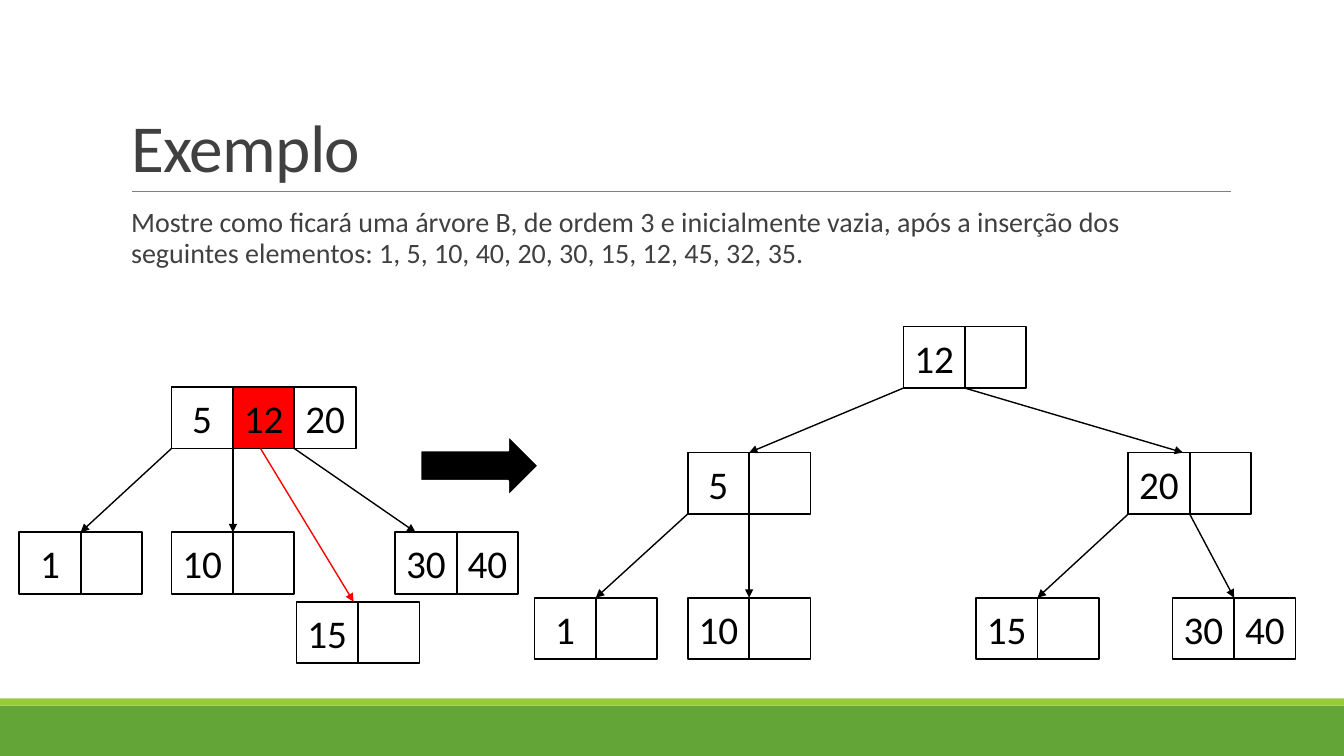
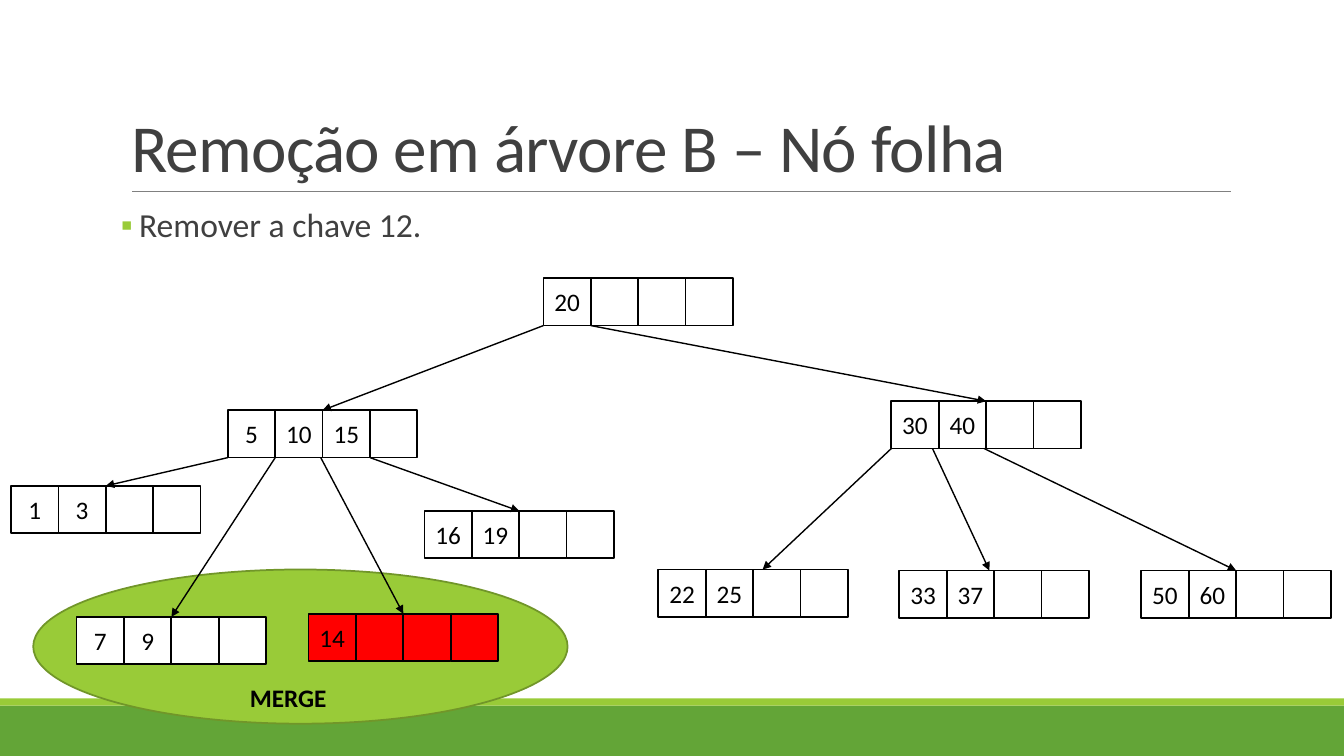
from dataclasses import dataclass

from lxml import etree
from pptx import Presentation
from pptx.dml.color import RGBColor
from pptx.enum.shapes import MSO_CONNECTOR, MSO_SHAPE
from pptx.enum.text import MSO_ANCHOR, MSO_AUTO_SIZE, PP_ALIGN
from pptx.oxml.ns import qn
from pptx.util import Inches, Pt

LEFT, CENTER = PP_ALIGN.LEFT, PP_ALIGN.CENTER
TOP, MIDDLE, BOTTOM = MSO_ANCHOR.TOP, MSO_ANCHOR.MIDDLE, MSO_ANCHOR.BOTTOM
RECT, OVAL, BLOCK_ARROW = MSO_SHAPE.RECTANGLE, MSO_SHAPE.OVAL, MSO_SHAPE.RIGHT_ARROW
STRAIGHT = MSO_CONNECTOR.STRAIGHT


@dataclass(frozen=True)
class Theme:
    font: str = "Calibri"
    text: RGBColor = RGBColor.from_string("404040")
    black: RGBColor = RGBColor.from_string("000000")
    white: RGBColor = RGBColor.from_string("FFFFFF")
    red: RGBColor = RGBColor.from_string("FF0000")
    rule: RGBColor = RGBColor.from_string("808080")
    green: RGBColor = RGBColor.from_string("63A537")
    lime: RGBColor = RGBColor.from_string("99CB38")
    olive: RGBColor = RGBColor.from_string("719629")
    title_size: int = 48
    label_size: int = 18
    outline: float = 1.25
    arrow: float = 1


T = Theme()


def write(tf, text, size, color=T.black, bold=False, align=LEFT, anchor=TOP,
          margins=None, line_spacing=1, spacing=0, hanging=None, bullet=None, wrap=True):
    """Fill a frame with one paragraph; hanging is the indent in inches, margins (side, top)."""
    tf.auto_size = MSO_AUTO_SIZE.NONE
    tf.word_wrap = wrap
    tf.vertical_anchor = anchor
    if margins is not None:
        tf.margin_left = tf.margin_right = Inches(margins[0])
        tf.margin_top = tf.margin_bottom = Inches(margins[1])
    p = tf.paragraphs[0]
    p.alignment = align
    p.line_spacing = line_spacing
    p.space_before = Pt(0)
    if hanging is not None:
        pPr = p._p.get_or_add_pPr()
        pPr.set("marL", str(Inches(hanging)))
        pPr.set("indent", str(-Inches(hanging) if bullet else 0))
        if bullet:
            clr = etree.SubElement(pPr, qn("a:buClr"))
            etree.SubElement(clr, qn("a:srgbClr"), val=str(T.lime))
            etree.SubElement(pPr, qn("a:buChar"), char=bullet)
        else:
            etree.SubElement(pPr, qn("a:buNone"))
    r = p.add_run()
    r.text = text
    r.font.name, r.font.size, r.font.bold = T.font, Pt(size), bold
    r.font.color.rgb = color
    if spacing:
        r._r.get_or_add_rPr().set("spc", str(int(spacing * 100)))


def add_shape(shapes, kind, box, fill, line=None):
    sp = shapes.add_shape(kind, *map(Inches, box))
    sp.shadow.inherit = False
    sp.fill.solid()
    sp.fill.fore_color.rgb = fill
    if line is None:
        sp.line.fill.background()
    else:
        sp.line.color.rgb = line
        sp.line.width = Pt(T.outline)
    return sp


prs = Presentation()
prs.slide_width, prs.slide_height = Inches(13.33), Inches(7.5)

# Shared layout: placeholder positions, footer bands and title rule
layout = prs.slide_layouts[1]
for ph, box in zip(layout.placeholders, [(1.2, 0.31, 11, 1.59), (1.2, 2.02, 11, 4.4)]):
    ph.left, ph.top, ph.width, ph.height = map(Inches, box)

headings = [
    ("Exemplo",
     "Mostre como ficará uma árvore B, de ordem 3 e inicialmente vazia, após a inserção dos "
     "seguintes elementos: 1, 5, 10, 40, 20, 30, 15, 12, 45, 32, 35.",
     dict(size=20, hanging=0.1)),
    ("Remoção em árvore B – Nó folha", "Remover a chave 12.",
     dict(size=24, hanging=0.18, bullet="▪")),
]
slides = []
for title, body, body_format in headings:
    s = prs.slides.add_slide(layout)
    write(s.shapes.title.text_frame, title, T.title_size, color=T.text, anchor=BOTTOM,
          line_spacing=0.85, spacing=-0.5)
    write(s.placeholders[1].text_frame, body, color=T.text, margins=(0, 0.05),
          line_spacing=0.9, **body_format)
    slides.append(s)
example, removal = slides

rule = example.shapes.add_connector(STRAIGHT, Inches(1.31), Inches(1.9), Inches(12.21), Inches(1.9))
rule.line.color.rgb = T.rule
rule.line.width = Pt(0.5)
etree.SubElement(rule.element.spPr, qn("a:effectLst"))
decor = [
    add_shape(example.shapes, RECT, (0, 7, 13.33, 0.5), T.green),
    add_shape(example.shapes, RECT, (0, 6.93, 13.33, 0.07), T.lime),
    rule,
]
# Decoration is drawn on a slide, then moved into the layout behind its placeholders
for i, sp in enumerate(decor):
    sp.element.xpath(".//p:cNvPr")[0].set("id", str(100 + i))
    layout.shapes.element.insert(2 + i, sp.element)

# Slide-specific shapes behind the trees
add_shape(example.shapes, BLOCK_ARROW, (4.17, 4.32, 1.17, 0.6), T.black, T.white)
add_shape(removal.shapes, OVAL, (0.33, 5.65, 5.3, 1.53), T.lime, T.olive)
merge = removal.shapes.add_textbox(Inches(2.38), Inches(6.72), Inches(0.97), Inches(0.4))
write(merge.text_frame, "MERGE", T.label_size, bold=True, wrap=False)

# Nodes: left, top, keys. Edges: parent, slot, child, landing point; both in cells from
# the left, landing at the child's middle when None. A node is named by its first key.
trees = [
    dict(slide=example, cell=0.61, cells=2, size=28, red_keys={12}, red_edges={15},
         nodes=[(1.7, 3.84, [5, 12, 20]), (0.19, 5.28, [1]), (1.7, 5.28, [10]),
                (3.92, 5.28, [30, 40]), (2.94, 5.97, [15])],
         edges=[(5, 0, 1, None), (5, 1, 10, None), (5, 2, 30, 0.33), (5, 1.45, 15, 0.93)]),
    dict(slide=example, cell=0.61, cells=2, size=28, red_keys=set(), red_edges=set(),
         nodes=[(8.96, 3.24, [12]), (6.82, 4.49, [5]), (11.19, 4.49, [20]), (5.3, 5.93, [1]),
                (6.82, 5.93, [10]), (9.68, 5.93, [15]), (11.63, 5.93, [30, 40])],
         edges=[(12, 0, 5, None), (12, 1, 20, 0.89), (5, 0, 1, None), (5, 1, 10, None),
                (20, 0, 15, None), (20, 1, 30, None)]),
    dict(slide=removal, cell=0.47, cells=4, size=T.label_size, red_keys={14, None},
         red_edges=set(),
         nodes=[(5.39, 2.76, [20]), (2.26, 4.07, [5, 10, 15]), (8.84, 3.98, [30, 40]),
                (0.11, 4.82, [1, 3]), (0.76, 6.12, [7, 9]), (4.21, 5.07, [16, 19]),
                (6.53, 5.65, [22, 25]), (8.92, 5.66, [33, 37]), (11.32, 5.66, [50, 60]),
                (3.06, 6.09, [14])],
         edges=[(20, 0, 5, None), (20, 1, 30, None), (30, 0, 22, 2.2), (30, 0.87, 33, 1.9),
                (30, 1.96, 50, None), (5, 0, 1, None), (5, 1, 7, None), (5, 1.96, 14, None),
                (5, 3, 16, None)]),
]
for tree in trees:
    shapes, cell = tree["slide"].shapes, tree["cell"]
    corners = {}
    for x, y, keys in tree["nodes"]:
        corners[keys[0]] = x, y
        node = shapes.add_group_shape()
        empty = [None] * (tree["cells"] - len(keys))
        whole_red = None in tree["red_keys"] and keys[0] in tree["red_keys"]
        for i, key in enumerate(keys + empty):
            red = whole_red or (key is not None and key in tree["red_keys"])
            sp = add_shape(node.shapes, RECT, (x + i * cell, y, cell, cell),
                           T.red if red else T.white, T.black)
            if key is not None:
                write(sp.text_frame, str(key), tree["size"], align=CENTER, anchor=MIDDLE,
                      margins=(0, 0.05))
    for parent, slot, child, landing in tree["edges"]:
        (px, py), (cx, cy) = corners[parent], corners[child]
        if landing is None:
            landing = tree["cells"] / 2
        c = shapes.add_connector(STRAIGHT, Inches(px + slot * cell), Inches(py + cell),
                                 Inches(cx + landing * cell), Inches(cy))
        c.line.color.rgb = T.red if child in tree["red_edges"] else T.black
        c.line.width = Pt(T.arrow)
        spPr = c.element.spPr
        etree.SubElement(spPr.find(qn("a:ln")), qn("a:tailEnd"), type="triangle")
        etree.SubElement(spPr, qn("a:effectLst"))

prs.save("out.pptx")
